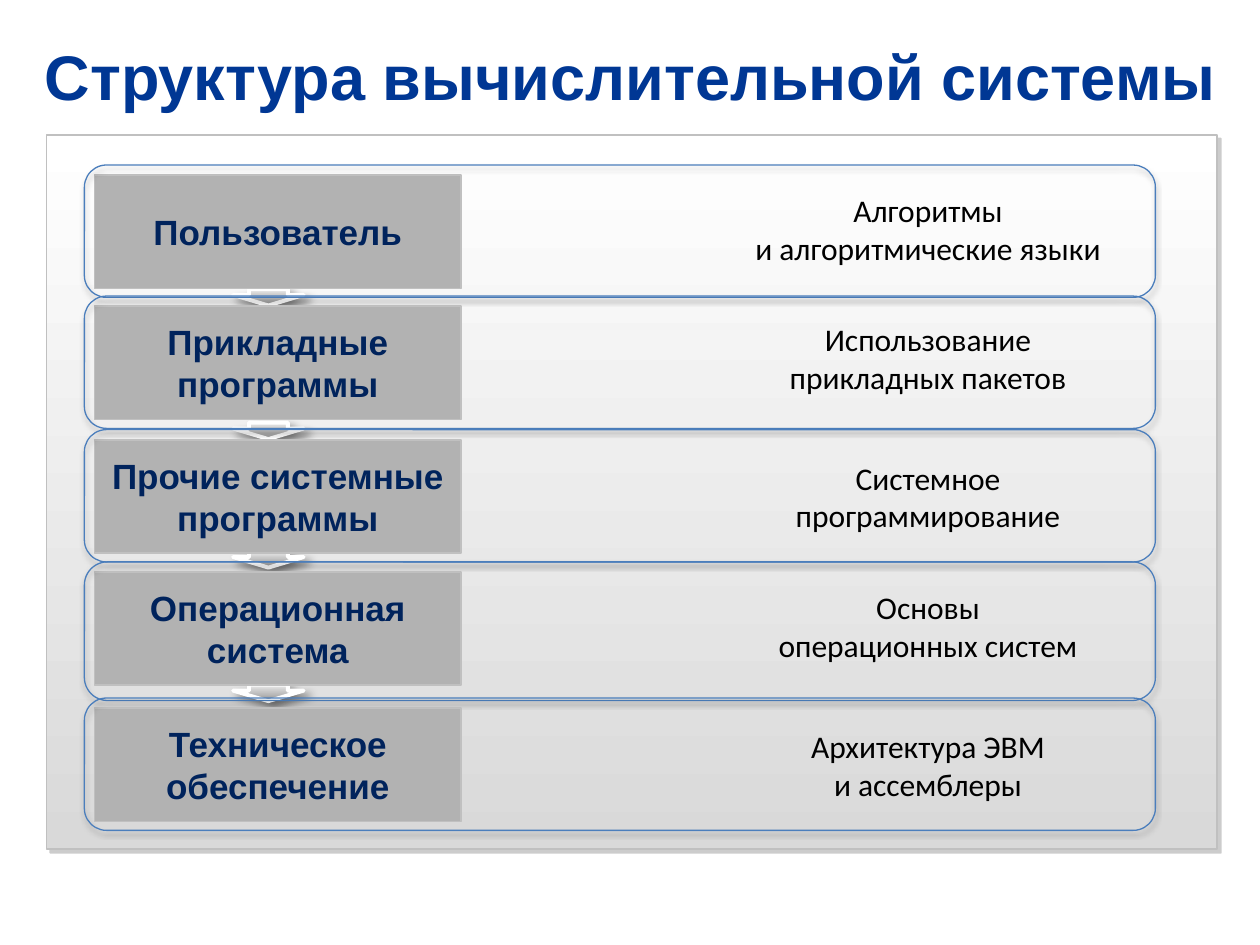
from lxml.etree import SubElement
from pptx import Presentation
from pptx.dml.color import RGBColor
from pptx.enum.shapes import MSO_SHAPE
from pptx.enum.text import MSO_ANCHOR, MSO_AUTO_SIZE, PP_ALIGN
from pptx.oxml.ns import qn
from pptx.util import Inches, Pt

COLORS = {
    "title": "003794",
    "panel_top": "FFFFFF",
    "panel_bottom": "D9D9D9",
    "panel_line": "C0C0C0",
    "panel_shadow": "808080",
    "arrow_start": "EAEAEA",
    "arrow_end": "969696",
    "arrow_line": "FFFFFF",
    "level_fill": "B2B2B2",
    "level_text": "00235C",
    "frame_line": "4B7EBC",
    "black": "000000",
}

# level, discipline lines, frame top, frame height, discipline top
LEVELS = [
    ("Пользователь", ("Алгоритмы", "и алгоритмические языки"), 1.31, 1.05, 1.47),
    ("Прикладные программы", ("Использование", "прикладных пакетов"), 2.35, 1.05, 2.49),
    ("Прочие системные программы", ("Системное", "программирование"), 3.41, 1.05, 3.59),
    ("Операционная система", ("Основы", "операционных систем"), 4.46, 1.1, 4.62),
    ("Техническое обеспечение", ("Архитектура ЭВМ", "и ассемблеры"), 5.54, 1.05, 5.72),
]
ARROW_CENTERS = [2.36, 3.42, 4.44, 5.5]


def color(name):
    return RGBColor.from_string(COLORS[name])


def place(shape, left, top, width, height):
    shape.left, shape.top = Inches(left), Inches(top)
    shape.width, shape.height = Inches(width), Inches(height)


def add_box(slide, preset, box, line, line_width):
    shape = slide.shapes.add_shape(preset, *map(Inches, box))
    shape.shadow.inherit = False
    shape.line.color.rgb = color(line)
    shape.line.width = Pt(line_width)
    return shape


def fill_gradient(shape, start, end, angle):
    """Two-stop fill; the angle runs counter-clockwise in degrees."""
    shape.fill.gradient()
    shape.fill.gradient_angle = angle
    for stop, name in zip(shape.fill.gradient_stops, (start, end)):
        stop.color.rgb = color(name)


def add_shadow(shape, name, opacity, blur, distance, direction):
    effects = shape._element.spPr.find(qn("a:effectLst"))
    shadow = SubElement(effects, qn("a:outerShdw"), blurRad=str(Pt(blur)),
                        dist=str(Pt(distance)), dir=str(direction * 60000),
                        algn="ctr", rotWithShape="0")
    shade = SubElement(shadow, qn("a:srgbClr"), val=COLORS[name])
    SubElement(shade, qn("a:alpha"), val=str(opacity * 1000))


def write_lines(text_frame, lines, font_name, size, color_name, bold=False):
    paragraph = text_frame.paragraphs[0]
    paragraph.alignment = PP_ALIGN.CENTER
    for index, line in enumerate(lines):
        if index:
            paragraph.add_line_break()
        run = paragraph.add_run()
        run.text = line
        run.font.name = font_name
        run.font.size = Pt(size)
        run.font.bold = bold
        run.font.color.rgb = color(color_name)


def add_title(slide, box, text):
    title = slide.shapes.title
    place(title, *box)
    title.text_frame.vertical_anchor = MSO_ANCHOR.MIDDLE
    write_lines(title.text_frame, [text], "Arial", 36, "title", bold=True)


def add_panel(slide, box):
    panel = add_box(slide, MSO_SHAPE.RECTANGLE, box, "panel_line", 1)
    fill_gradient(panel, "panel_top", "panel_bottom", 270)
    add_shadow(panel, "panel_shadow", 40, 0, 3, 45)


def add_down_arrow(slide, center_x, center_y, length=0.13, breadth=0.56):
    box = (center_x - length / 2, center_y - breadth / 2, length, breadth)
    arrow = add_box(slide, MSO_SHAPE.RIGHT_ARROW, box, "arrow_line", 2.25)
    arrow.rotation = 90
    arrow.adjustments[0], arrow.adjustments[1] = 0.55, 0.64
    fill_gradient(arrow, "arrow_start", "arrow_end", 0)
    add_shadow(arrow, "black", 50, 5, 4.2, 45)


def add_level(slide, box, text):
    level = add_box(slide, MSO_SHAPE.RECTANGLE, box, "panel_line", 1)
    level.fill.solid()
    level.fill.fore_color.rgb = color("level_fill")
    frame = level.text_frame
    frame.word_wrap = True
    frame.vertical_anchor = MSO_ANCHOR.MIDDLE
    frame.margin_left = frame.margin_right = frame.margin_top = frame.margin_bottom = 0
    write_lines(frame, [text], "Arial", 20, "level_text", bold=True)


def add_frame(slide, box):
    frame = add_box(slide, MSO_SHAPE.ROUNDED_RECTANGLE, box, "frame_line", 0.75)
    frame.fill.background()
    add_shadow(frame, "black", 35, 3.1, 1.8, 90)


def add_discipline(slide, box, lines):
    text_box = slide.shapes.add_textbox(*map(Inches, box))
    text_box.text_frame.word_wrap = True
    text_box.text_frame.auto_size = MSO_AUTO_SIZE.SHAPE_TO_FIT_TEXT
    write_lines(text_box.text_frame, lines, "Calibri", 18, "black")


def add_level_row(slide, level, lines, top, height, discipline_top):
    add_level(slide, (0.75, top + 0.08, 2.91, 0.9), level)
    add_frame(slide, (0.67, top, 8.5, height))
    add_discipline(slide, (5.79, discipline_top, 3.15, 0.71), lines)


def main():
    presentation = Presentation()
    presentation.slide_width, presentation.slide_height = Inches(10), Inches(7.5)
    slide = presentation.slides.add_slide(presentation.slide_layouts[5])
    add_title(slide, (0.2, 0.26, 9.61, 0.68), "Структура вычислительной системы")
    add_panel(slide, (0.37, 1.07, 9.29, 5.67))
    for center_y in ARROW_CENTERS:
        add_down_arrow(slide, 2.13, center_y)
    for row in LEVELS:
        add_level_row(slide, *row)
    presentation.save("out.pptx")


if __name__ == "__main__":
    main()
